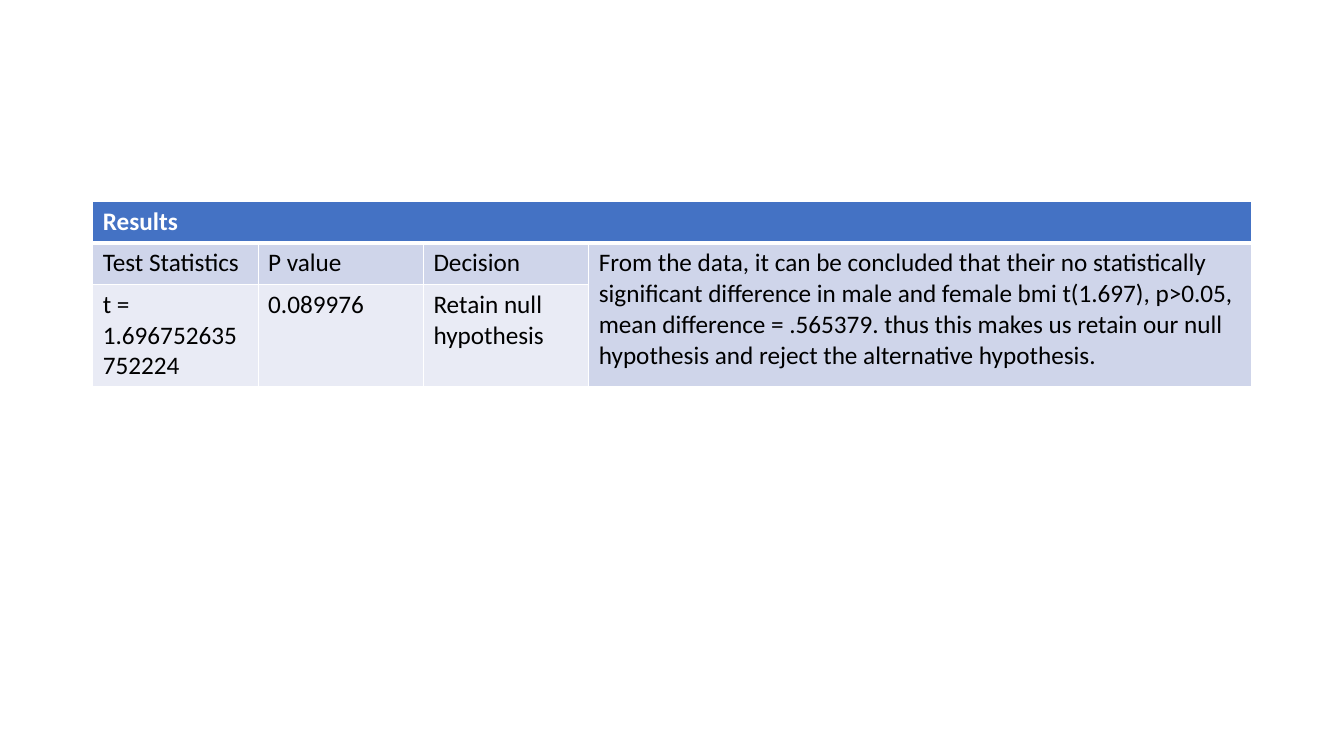
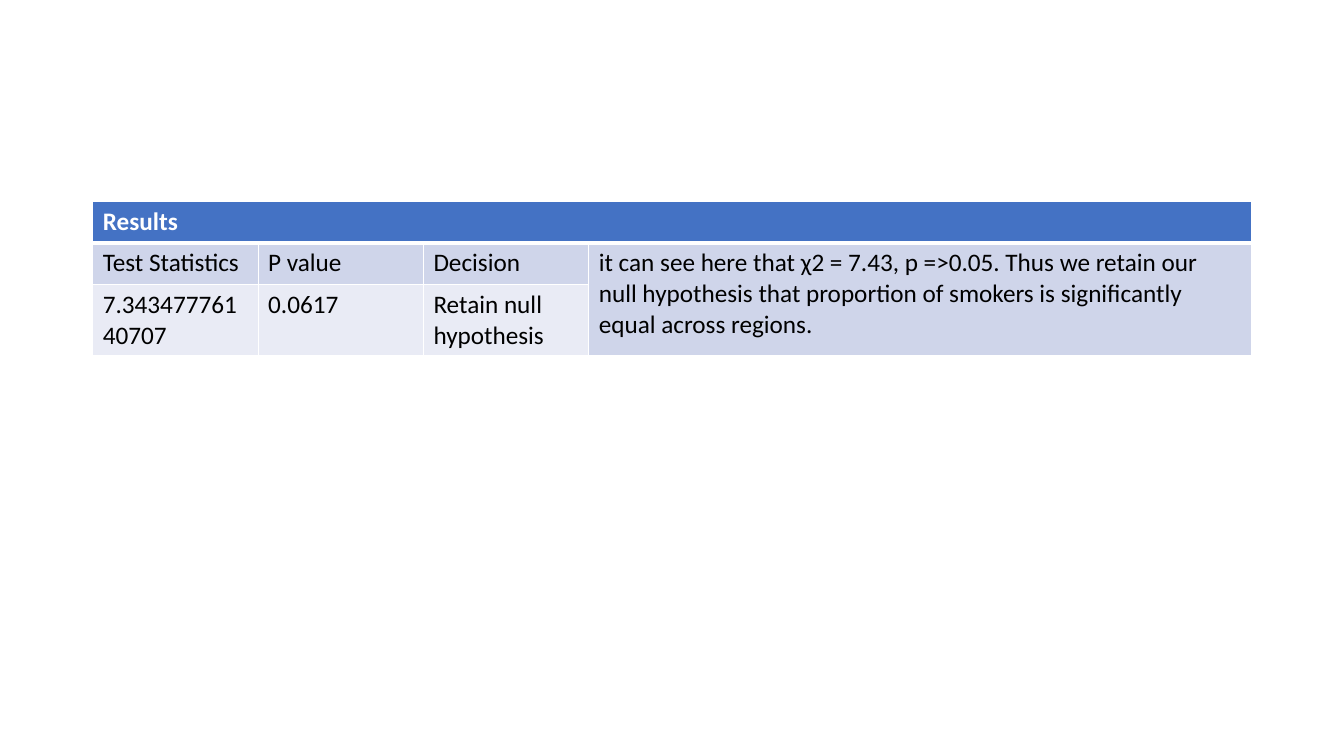
from lxml.etree import SubElement
from pptx import Presentation
from pptx.dml.color import RGBColor
from pptx.oxml.ns import qn
from pptx.util import Inches, Pt

COLORS = {
    "header": "4472C4",
    "label": "CFD5EA",
    "value": "E9EBF5",
    "rule": "FFFFFF",
    "header_text": "FFFFFF",
    "text": "000000",
}
FONT = "Calibri"
TABLE_BOX = (0.92, 2, 11.49)
NARROW_COLUMN = 1.64
ROW_HEIGHT = 0.41
LABELS = ["Test Statistics", "P value", "Decision"]
ROW_FILLS = ["header", "label", "value"]

RESULTS = [
    (
        ["t = 1.696752635752224", "0.089976", "Retain null hypothesis"],
        "From the data, it can be concluded that their no statistically significant "
        "difference in male and female bmi t(1.697), p>0.05, mean difference = .565379. "
        "thus this makes us retain our null hypothesis and reject the alternative hypothesis.",
        0.99,
    ),
    (
        ["7.34347776140707", "0.0617", "Retain null hypothesis"],
        "it can see here that χ2 = 7.43, p =>0.05. Thus we retain our null hypothesis "
        "that proportion of smokers is significantly equal across regions.",
        0.69,
    ),
]


def add_borders(cell, widths):
    """Draw the left, right, top and bottom rules of a cell."""
    properties = cell._tc.get_or_add_tcPr()
    for side, width in zip("LRTB", widths):
        line = SubElement(properties, qn(f"a:ln{side}"), w=str(Pt(width)))
        fill = SubElement(line, qn("a:solidFill"))
        SubElement(fill, qn("a:srgbClr"), val=COLORS["rule"])


def style_cell(cell, row, fill_name):
    """Give a cell its rules, fill and font."""
    add_borders(cell, (1, 1, 3 if row == 1 else 1, 3 if row == 0 else 1))
    cell.fill.solid()
    cell.fill.fore_color.rgb = RGBColor.from_string(COLORS[fill_name])
    font = cell.text_frame.paragraphs[0].font
    font.name = FONT
    font.size = Pt(18)
    font.bold = row == 0
    font.color.rgb = RGBColor.from_string(COLORS["header_text" if row == 0 else "text"])


def add_results_table(page, box, values, conclusion, value_height):
    """Place a results table with its conclusion beside the figures."""
    left, top, width = box
    heights = [ROW_HEIGHT, ROW_HEIGHT, value_height]
    columns = [NARROW_COLUMN] * len(LABELS)
    columns.append(width - sum(columns))
    frame = page.shapes.add_table(
        len(heights), len(columns),
        Inches(left), Inches(top), Inches(width), Inches(sum(heights)),
    )
    table = frame.table
    for column, size in zip(table.columns, columns):
        column.width = Inches(size)
    for row, size in zip(table.rows, heights):
        row.height = Inches(size)

    last = len(columns) - 1
    table.cell(0, 0).merge(table.cell(0, last))
    table.cell(1, last).merge(table.cell(2, last))
    rows = [["Results"], LABELS + [conclusion], values]
    for row, texts in enumerate(rows):
        for column, text in enumerate(texts):
            table.cell(row, column).text = text
        for column in range(len(columns)):
            fill_name = "label" if row and column == last else ROW_FILLS[row]
            style_cell(table.cell(row, column), row, fill_name)


def main():
    """Build the deck, one results table on each slide."""
    deck = Presentation()
    deck.slide_width = Inches(13.33)
    deck.slide_height = Inches(7.5)
    blank = deck.slide_layouts.get_by_name("Blank")
    for values, conclusion, value_height in RESULTS:
        page = deck.slides.add_slide(blank)
        add_results_table(page, TABLE_BOX, values, conclusion, value_height)
    deck.save("out.pptx")


if __name__ == "__main__":
    main()
